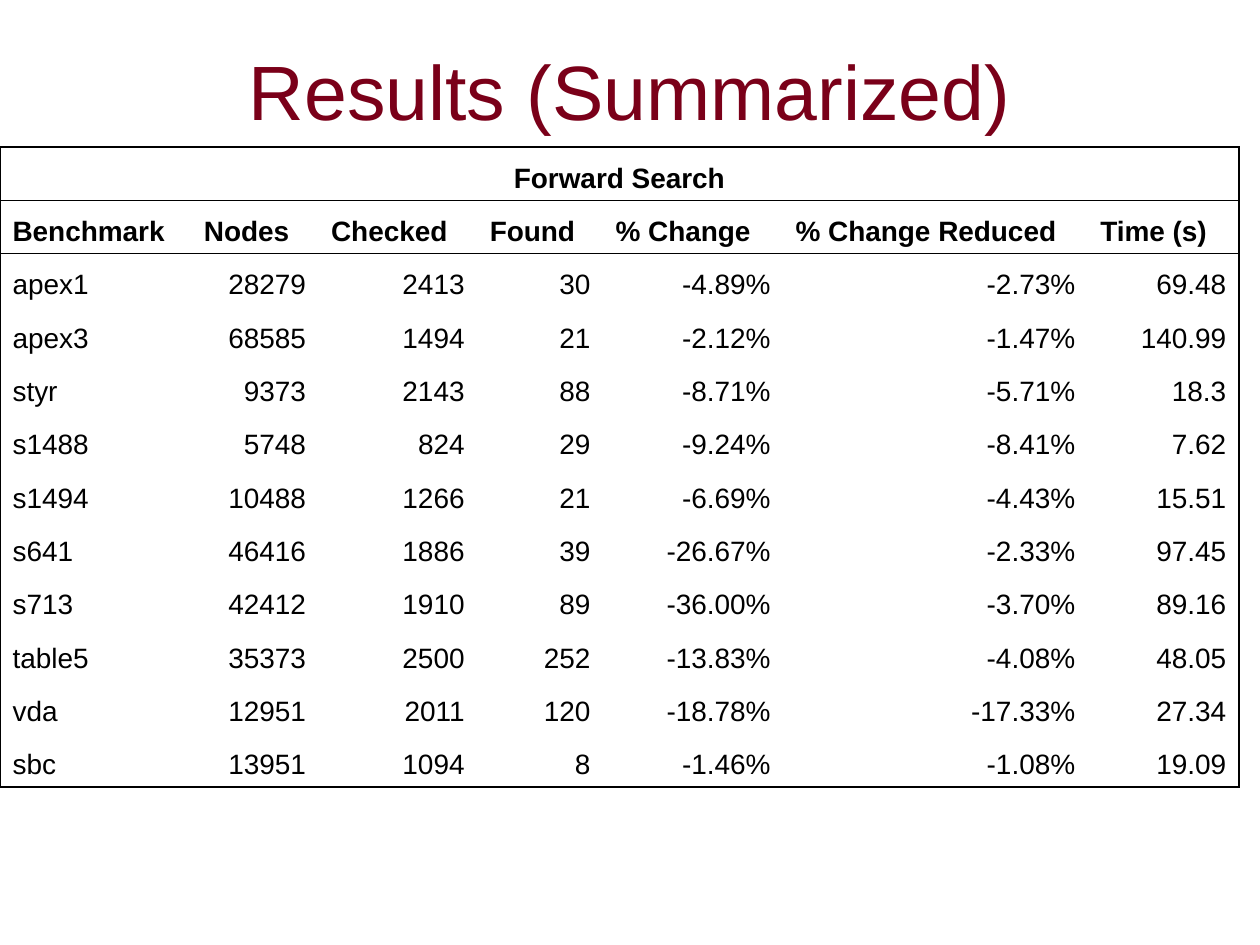
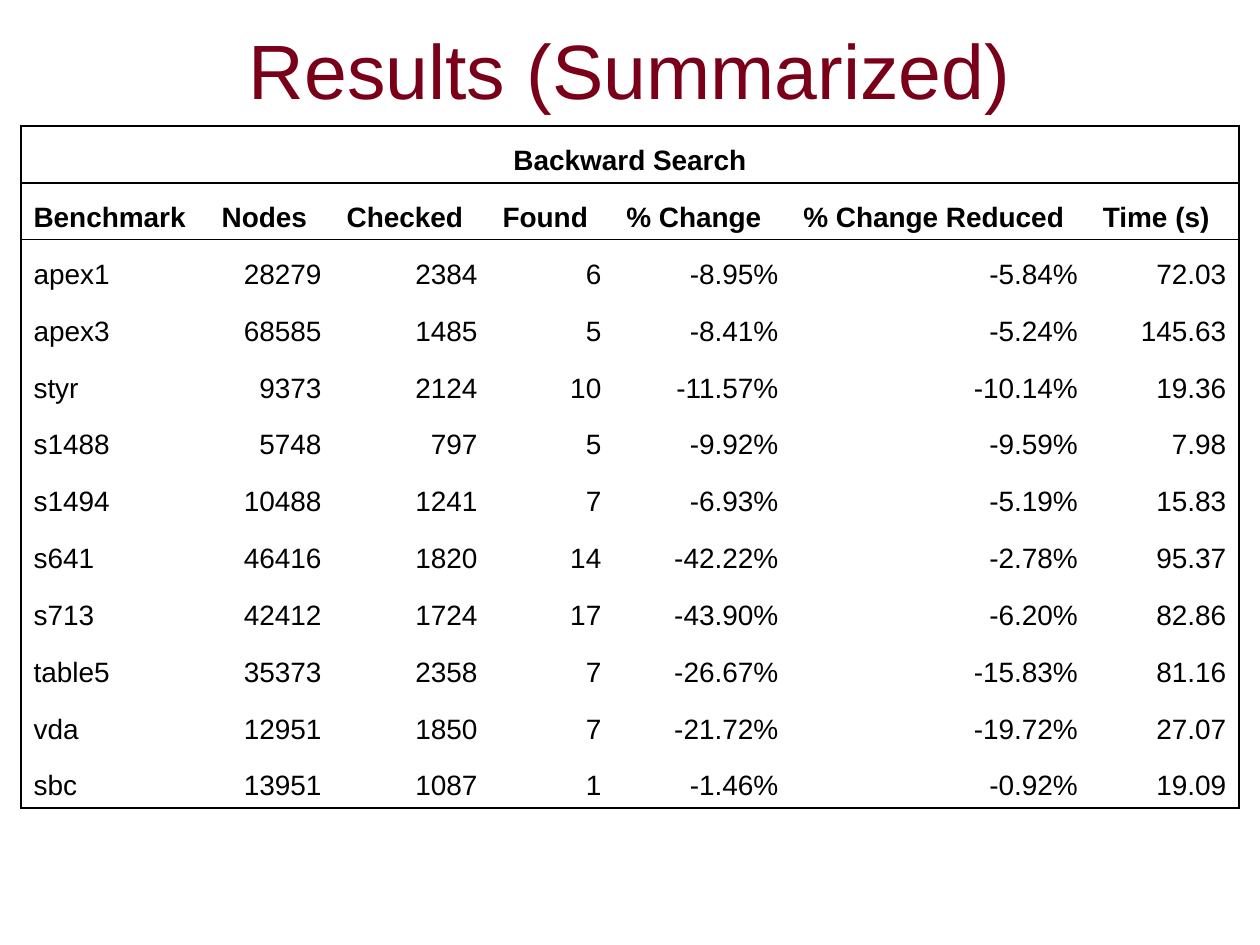
from dataclasses import dataclass

from lxml import etree
from pptx import Presentation
from pptx.dml.color import RGBColor
from pptx.enum.text import MSO_ANCHOR, PP_ALIGN
from pptx.oxml.ns import qn
from pptx.util import Pt

LEFT, CENTER, RIGHT = PP_ALIGN.LEFT, PP_ALIGN.CENTER, PP_ALIGN.RIGHT
MIDDLE, BOTTOM = MSO_ANCHOR.MIDDLE, MSO_ANCHOR.BOTTOM
TITLE_ONLY = 5


@dataclass(frozen=True)
class Theme:
    font: str = "Arial"
    title_color: str = "7A0019"
    ink: str = "000000"
    title_size: int = 44
    table_size: int = 16
    rule: int = 1


THEME = Theme()

HEADERS = ["Benchmark", "Nodes", "Checked", "Found", "% Change",
           "% Change Reduced", "Time (s)"]
COL_WEIGHTS = [1.52, 1.01, 1.26, 1, 1.43, 2.42, 1.2]
BENCHMARKS = [("apex1", 28279), ("apex3", 68585), ("styr", 9373),
              ("s1488", 5748), ("s1494", 10488), ("s641", 46416),
              ("s713", 42412), ("table5", 35373), ("vda", 12951),
              ("sbc", 13951)]

# Checked, found, % change, % change reduced, time
FORWARD = [
    (2413, 30, "-4.89%", "-2.73%", 69.48),
    (1494, 21, "-2.12%", "-1.47%", 140.99),
    (2143, 88, "-8.71%", "-5.71%", 18.3),
    (824, 29, "-9.24%", "-8.41%", 7.62),
    (1266, 21, "-6.69%", "-4.43%", 15.51),
    (1886, 39, "-26.67%", "-2.33%", 97.45),
    (1910, 89, "-36.00%", "-3.70%", 89.16),
    (2500, 252, "-13.83%", "-4.08%", 48.05),
    (2011, 120, "-18.78%", "-17.33%", 27.34),
    (1094, 8, "-1.46%", "-1.08%", 19.09),
]
BACKWARD = [
    (2384, 6, "-8.95%", "-5.84%", 72.03),
    (1485, 5, "-8.41%", "-5.24%", 145.63),
    (2124, 10, "-11.57%", "-10.14%", 19.36),
    (797, 5, "-9.92%", "-9.59%", 7.98),
    (1241, 7, "-6.93%", "-5.19%", 15.83),
    (1820, 14, "-42.22%", "-2.78%", 95.37),
    (1724, 17, "-43.90%", "-6.20%", 82.86),
    (2358, 7, "-26.67%", "-15.83%", 81.16),
    (1850, 7, "-21.72%", "-19.72%", 27.07),
    (1087, 1, "-1.46%", "-0.92%", 19.09),
]


def write(tf, text, *, size=THEME.table_size, color=THEME.ink, bold=False,
          align=LEFT, hanging=0):
    p = tf.paragraphs[0]
    p.alignment = align
    if hanging:
        pPr = p._p.get_or_add_pPr()
        pPr.set("marL", str(Pt(hanging)))
        pPr.set("indent", str(-Pt(hanging)))
    r = p.add_run()
    r.text = str(text)
    r.font.name = THEME.font
    r.font.size = Pt(size)
    r.font.bold = bold
    r.font.color.rgb = RGBColor.from_string(color)


def add_title(s, text, top):
    sp = s.shapes.title
    sp.left, sp.top, sp.width, sp.height = Pt(54), Pt(top), Pt(612), Pt(90)
    sp.text_frame.vertical_anchor = MIDDLE
    write(sp.text_frame, text, size=THEME.title_size, color=THEME.title_color,
          align=CENTER)


def set_borders(cell, sides):
    """Rule the given sides (letters of LRTB) and clear the others."""
    tcPr = cell._tc.get_or_add_tcPr()
    for side in "LRTB":
        ln = etree.SubElement(tcPr, qn(f"a:ln{side}"), w=str(Pt(THEME.rule)))
        if side in sides:
            fill = etree.SubElement(ln, qn("a:solidFill"))
            etree.SubElement(fill, qn("a:srgbClr"), val=THEME.ink)
        else:
            etree.SubElement(ln, qn("a:noFill"))


def ruled_sides(row, col, last_row, last_col):
    sides = ""
    if col == 0:
        sides += "L"
    if col == last_col or (row == 0 and col == 0):
        sides += "R"
    if row <= 2:
        sides += "T"
    if row <= 1 or row == last_row:
        sides += "B"
    return sides


def add_results_table(s, heading, results, left, top, width, height, hanging):
    rows = [[heading] + [""] * (len(HEADERS) - 1), HEADERS]
    rows += [[*bench, *result] for bench, result in zip(BENCHMARKS, results)]
    last_row, last_col = len(rows) - 1, len(HEADERS) - 1
    table = s.shapes.add_table(len(rows), len(HEADERS), Pt(left), Pt(top),
                               Pt(width), Pt(height)).table
    for column, weight in zip(table.columns, COL_WEIGHTS):
        column.width = Pt(width * weight / sum(COL_WEIGHTS))
    for row in table.rows:
        row.height = Pt(height / len(rows))
    table.cell(0, 0).merge(table.cell(0, last_col))

    for i, values in enumerate(rows):
        for j, value in enumerate(values):
            cell = table.cell(i, j)
            set_borders(cell, ruled_sides(i, j, last_row, last_col))
            cell.fill.background()
            cell.vertical_anchor = BOTTOM
            if cell.is_spanned:
                continue
            align = CENTER if i == 0 else RIGHT if i > 1 and j > 0 else LEFT
            write(cell.text_frame, value, bold=i < 2, align=align,
                  hanging=hanging)


def add_results_slide(prs, title_top, heading, results, **frame):
    s = prs.slides.add_slide(prs.slide_layouts[TITLE_ONLY])
    add_title(s, "Results (Summarized)", title_top)
    add_results_table(s, heading, results, **frame)


def main():
    prs = Presentation()
    prs.slide_width, prs.slide_height = Pt(720), Pt(540)
    # Forward search
    add_results_slide(prs, 6, "Forward Search", FORWARD, left=0, top=84,
                      width=708, height=366, hanging=27)
    # Backward search
    add_results_slide(prs, -6, "Backward Search", BACKWARD, left=12, top=72,
                      width=696, height=390, hanging=0)
    prs.save("out.pptx")


if __name__ == "__main__":
    main()
